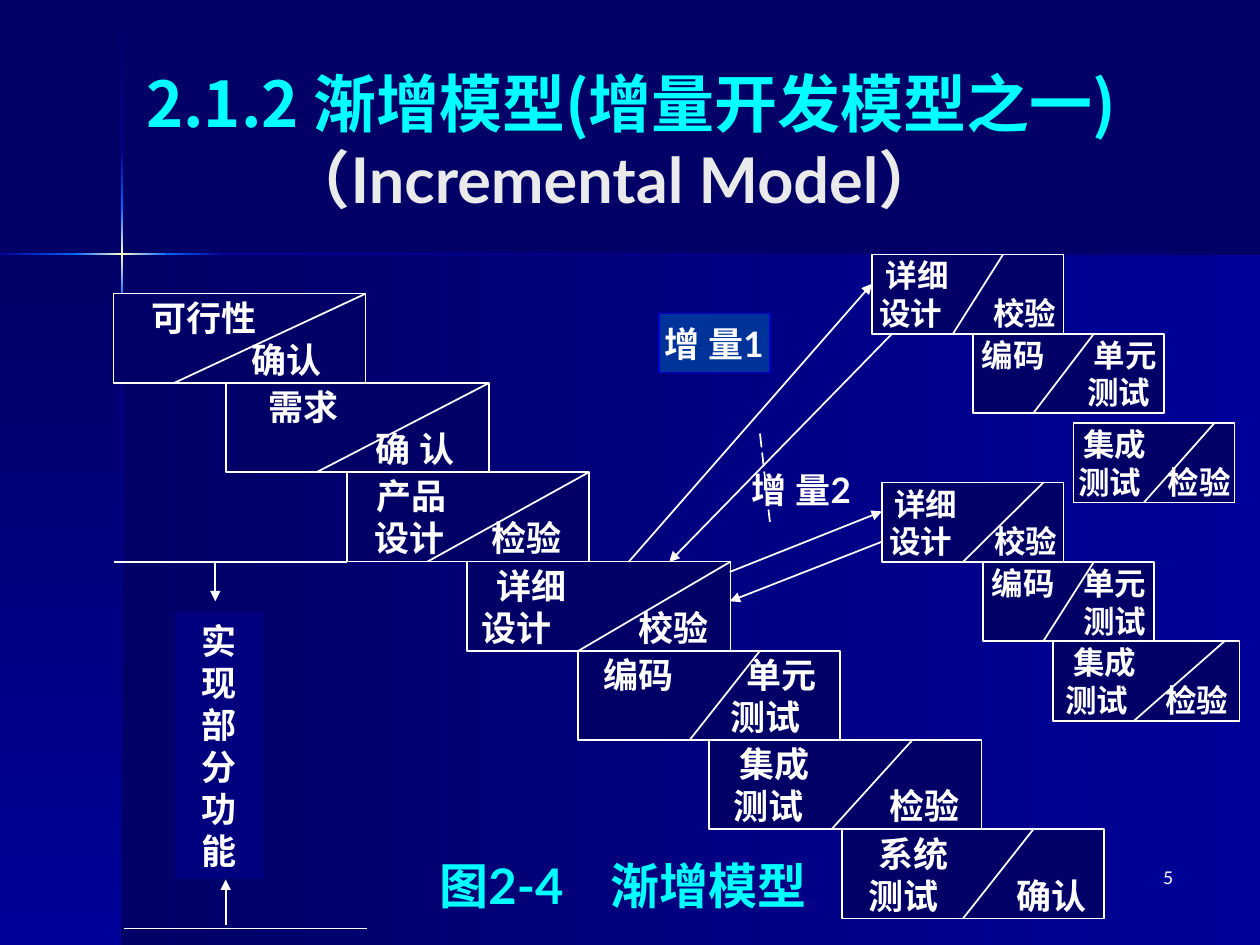
from dataclasses import dataclass

from lxml.etree import SubElement
from pptx import Presentation
from pptx.dml.color import RGBColor
from pptx.enum.dml import MSO_LINE_DASH_STYLE as Dash
from pptx.enum.shapes import MSO_CONNECTOR_TYPE as ConnectorType, MSO_SHAPE as ShapeType
from pptx.enum.text import MSO_ANCHOR as Anchor, PP_ALIGN as Align
from pptx.oxml.ns import qn
from pptx.util import Cm, Pt

NAVY, BLUE, BRIGHT, CREAM = "000066", "000099", "0066FF", "FFFFCC"
WHITE, CYAN = "FFFFFF", "00FFFF"
LATIN, CJK = "Lato", "Noto Sans CJK JP"
MAIN_TOP, MAIN_HEIGHT, BRANCH_HEIGHT = 5.92, 1.8, 1.6


@dataclass(frozen=True)
class Band:
    left: float
    top: float
    width: float
    height: float
    colors: tuple[str, ...]
    angle: int


@dataclass(frozen=True)
class Word:
    text: str
    offset: float = 0


@dataclass(frozen=True)
class Stage:
    left: float
    top: float
    width: float
    height: float
    slash_top: float
    slash_bottom: float
    lines: tuple[tuple[Word, ...], ...]
    size: int


@dataclass(frozen=True)
class Line:
    start: tuple[float, float]
    end: tuple[float, float]
    arrow: bool = False
    dashed: bool = False


def main_stage(row: int, left: float, width: float, slash_top: float,
               slash_bottom: float, *lines: tuple[Word, ...]) -> Stage:
    return Stage(left, MAIN_TOP + row * MAIN_HEIGHT, width, MAIN_HEIGHT,
                 slash_top, slash_bottom, lines, 20)


def branch_stage(left: float, top: float, width: float, slash_top: float,
                 slash_bottom: float, *lines: tuple[Word, ...]) -> Stage:
    return Stage(left, top, width, BRANCH_HEIGHT, slash_top, slash_bottom, lines, 18)


GLOW = (BRIGHT, CREAM, BRIGHT)
BANDS = [
    Band(2.46, 5.13, 22.94, 13.92, (BLUE, NAVY), 180),
    Band(0, 5.13, 2.46, 13.92, (NAVY, BLUE), 90),
    Band(2.44, 0.03, 0.05, 3.05, (NAVY, BLUE), 90),
    Band(2.44, 7.16, 0.05, 11.89, (BLUE, NAVY), 90),
    Band(4.5, 5.1, 20.9, 0.05, (NAVY, BLUE), 180),
    Band(2.44, 3.07, 0.05, 1.12, (BLUE, BRIGHT), 90),
    Band(2.44, 4.19, 0.05, 1.85, GLOW, 90),
    Band(0, 5.1, 1.55, 0.05, (BRIGHT, BLUE), 180),
    Band(3.38, 5.1, 1.12, 0.05, (BLUE, BRIGHT), 180),
    Band(1.52, 5.1, 1.86, 0.05, GLOW, 180),
]
STAGES = [
    main_stage(0, 2.29, 5.08, 5.08, 1.22, (Word("可行性", 0.76),), (Word("确认", 2.79),)),
    main_stage(1, 4.55, 5.31, 5.31, 1.83, (Word("需求", 0.86),), (Word("确 认", 3.02),)),
    main_stage(2, 6.99, 4.88, 4.88, 1.63,
               (Word("产品", 0.61),), (Word("设计", 0.56), Word("检验", 2.92))),
    main_stage(3, 9.42, 5.31, 5.31, 2.24,
               (Word("详细", 0.58),), (Word("设计", 0.29), Word("校验", 3.45))),
    main_stage(4, 11.66, 5.28, 3.66, 2.24,
               (Word("编码", 0.51), Word("单元", 3.38)), (Word("测试", 3.07),)),
    main_stage(5, 14.3, 5.49, 4.09, 2.46,
               (Word("集成", 0.61),), (Word("测试", 0.48), Word("检验", 3.63))),
    main_stage(6, 16.97, 5.28, 3.86, 2.44,
               (Word("系统", 0.74),), (Word("测试", 0.53), Word("确认", 3.53))),
    branch_stage(17.58, 5.13, 3.86, 2.64, 1.63,
                 (Word("详细", 0.28),), (Word("设计", 0.15), Word("校验", 2.44))),
    branch_stage(19.61, 6.73, 3.86, 2.44, 1.22,
                 (Word("编码", 0.18), Word("单元", 2.44)), (Word("测试", 2.31),)),
    branch_stage(21.64, 8.53, 3.25, 2.84, 1.42,
                 (Word("集成", 0.2),), (Word("测试", 0.1), Word("检验", 1.9))),
    branch_stage(17.78, 9.73, 3.66, 3.25, 1.63,
                 (Word("详细", 0.25),), (Word("设计", 0.15), Word("校验", 2.26))),
    branch_stage(19.81, 11.33, 3.45, 2.24, 1.22,
                 (Word("编码", 0.18), Word("单元", 2.03)), (Word("测试", 2.03),)),
    branch_stage(21.23, 12.93, 3.76, 3.45, 1.63,
                 (Word("集成", 0.41),), (Word("测试", 0.25), Word("检验", 2.26))),
]
LINES = [
    Line((2.29, 11.33), (6.99, 11.33)),
    Line((2.49, 18.72), (7.39, 18.72)),
    Line((4.55, 18.64), (4.55, 17.73), arrow=True),
    Line((4.34, 11.33), (4.34, 12.12), arrow=True),
    Line((12.67, 11.33), (17.58, 5.72), arrow=True),
    Line((17.98, 6.73), (13.49, 11.33), arrow=True),
    Line((14.71, 11.53), (17.78, 10.31), arrow=True),
    Line((17.78, 10.92), (14.71, 12.12), arrow=True),
    Line((15.32, 8.74), (15.52, 10.52), dashed=True),
]


def color_of(value: str) -> RGBColor:
    return RGBColor.from_string(value)


def write_text(shape, lines, *, size, color=WHITE, bold=True, font=LATIN,
               align=Align.LEFT, anchor=Anchor.MIDDLE):
    frame = shape.text_frame
    frame.word_wrap = True
    frame.vertical_anchor = anchor
    frame.margin_left = frame.margin_right = frame.margin_top = frame.margin_bottom = 0
    for words in lines:
        paragraph = frame.add_paragraph() if frame.text else frame.paragraphs[0]
        offsets = [word.offset for word in words if word.offset]
        if offsets:
            tabs = SubElement(paragraph._p.get_or_add_pPr(), qn("a:tabLst"))
            for offset in offsets:
                SubElement(tabs, qn("a:tab"), pos=str(int(Cm(offset))), algn="l")
        paragraph.alignment = align
        paragraph.line_spacing = Pt(size * 1.2)
        run = paragraph.add_run()
        run.text = "".join("\t" * bool(word.offset) + word.text for word in words)
        run.font.name, run.font.size, run.font.bold = font, Pt(size), bold
        run.font.color.rgb = color_of(color)
        SubElement(run._r.get_or_add_rPr(), qn("a:ea"), typeface=font)


def add_box(slide, left: float, top: float, width: float, height: float, fill: str, outline: str):
    shape = slide.shapes.add_shape(ShapeType.RECTANGLE, Cm(left), Cm(top), Cm(width), Cm(height))
    shape.shadow.inherit = False
    shape.fill.solid()
    shape.fill.fore_color.rgb = color_of(fill)
    shape.line.color.rgb = color_of(outline)
    shape.line.width = Pt(1)
    return shape


def add_label(slide, left: float, top: float, width: float, height: float):
    return slide.shapes.add_textbox(Cm(left), Cm(top), Cm(width), Cm(height))


def add_band(slide, band: Band) -> None:
    shape = add_box(slide, band.left, band.top, band.width, band.height, NAVY, NAVY)
    shape.line.fill.background()
    shape.fill.gradient()
    shape.fill.gradient_angle = 0
    gradient = shape._element.spPr.find(qn("a:gradFill"))
    gradient.find(qn("a:lin")).set("ang", str(band.angle * 60000))
    stops = gradient.find(qn("a:gsLst"))
    for stop in list(stops):
        stops.remove(stop)
    for index, color in enumerate(band.colors):
        position = 100000 * index // (len(band.colors) - 1)
        stop = SubElement(stops, qn("a:gs"), pos=str(position))
        SubElement(stop, qn("a:srgbClr"), val=color)


def add_line(slide, line: Line) -> None:
    connector = slide.shapes.add_connector(
        ConnectorType.STRAIGHT, *(Cm(value) for value in line.start + line.end))
    connector.line.color.rgb = color_of(WHITE)
    connector.line.width = Pt(1)
    if line.dashed:
        connector.line.dash_style = Dash.LONG_DASH
    if line.arrow:
        SubElement(connector.line._get_or_add_ln(), qn("a:tailEnd"), type="triangle")
    SubElement(connector._element.spPr, qn("a:effectLst"))


def add_stage(slide, stage: Stage) -> None:
    shape = add_box(slide, stage.left, stage.top, stage.width, stage.height, NAVY, WHITE)
    write_text(shape, stage.lines, size=stage.size)
    add_line(slide, Line((stage.left + stage.slash_top, stage.top),
                         (stage.left + stage.slash_bottom, stage.top + stage.height)))


def main() -> None:
    presentation = Presentation()
    presentation.slide_width, presentation.slide_height = Cm(25.4), Cm(19.05)
    slide = presentation.slides.add_slide(presentation.slide_layouts[6])
    slide.background.fill.solid()
    slide.background.fill.fore_color.rgb = color_of(NAVY)

    for band in BANDS:
        add_band(slide, band)
    title = add_label(slide, 2.95, 0.84, 20.7, 3.99)
    write_text(title, [(Word("2.1.2 渐增模型(增量开发模型之一)"),)], size=36, color=CYAN, font=CJK)
    write_text(title, [(Word("（Incremental Model）", 2.85),)], size=36, color="EAEAEA")
    for stage in STAGES:
        add_stage(slide, stage)
    partial = add_box(slide, 3.51, 12.32, 1.83, 5.41, "00007E", NAVY)
    write_text(partial, [(Word(letter),) for letter in "实现部分功能"], size=20, align=Align.CENTER)
    for line in LINES:
        add_line(slide, line)
    first = add_box(slide, 13.28, 6.32, 2.24, 1.19, "003399", "0000CC")
    write_text(first, [(Word("增 量1"),)], size=20, align=Align.CENTER)
    second = add_label(slide, 15.16, 9.45, 2.7, 0.9)
    write_text(second, [(Word("增 量2"),)], size=20, anchor=Anchor.TOP)
    caption = add_label(slide, 8.86, 17.25, 7.8, 1.2)
    write_text(caption, [(Word("图2-4"), Word("渐增模型", 3.45))], size=28, color=CYAN,
               anchor=Anchor.TOP)
    number = add_label(slide, 18.62, 17.48, 5.03, 0.6)
    write_text(number, [(Word("5"),)], size=10, bold=False, align=Align.RIGHT, anchor=Anchor.TOP)
    presentation.save("out.pptx")


if __name__ == "__main__":
    main()
